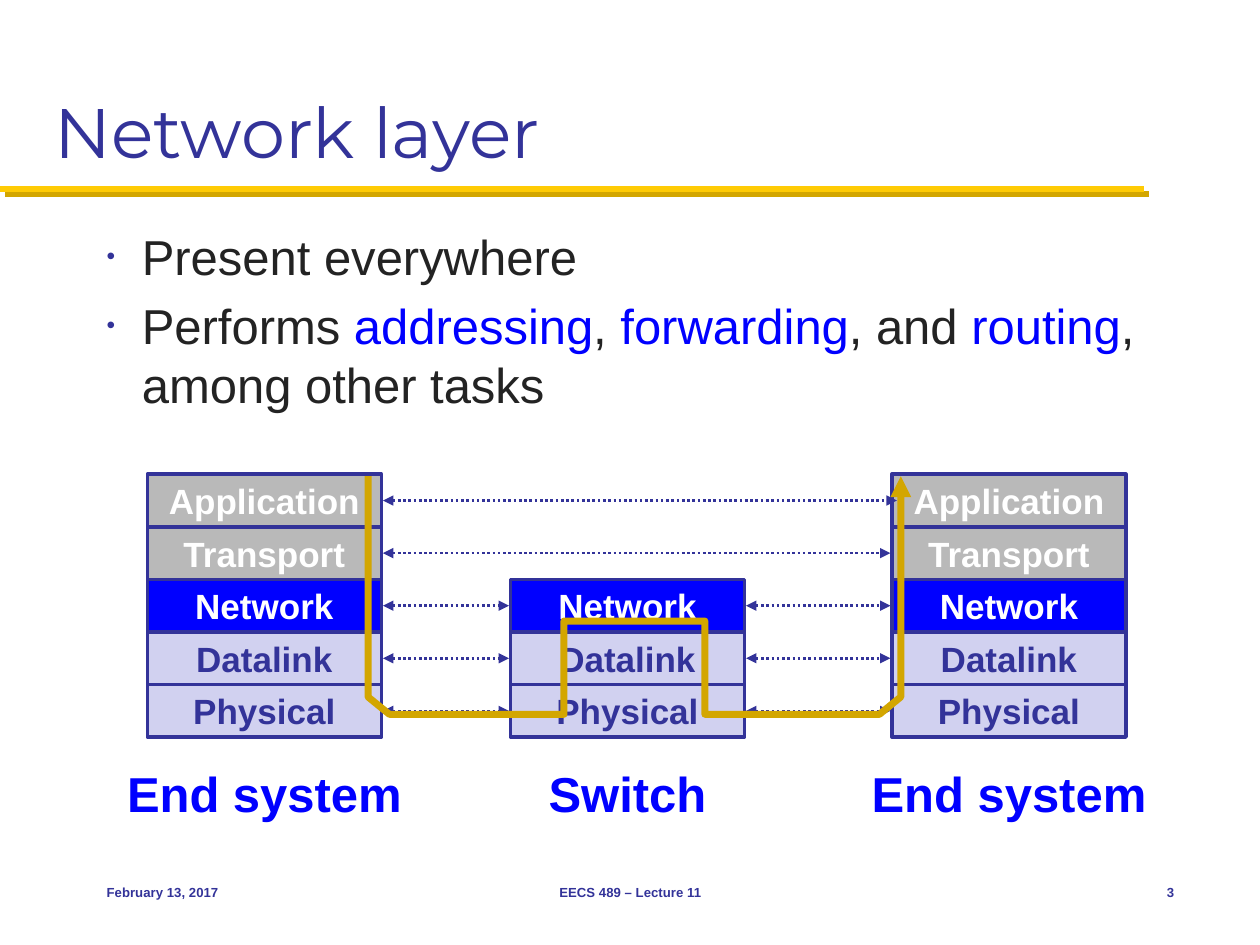
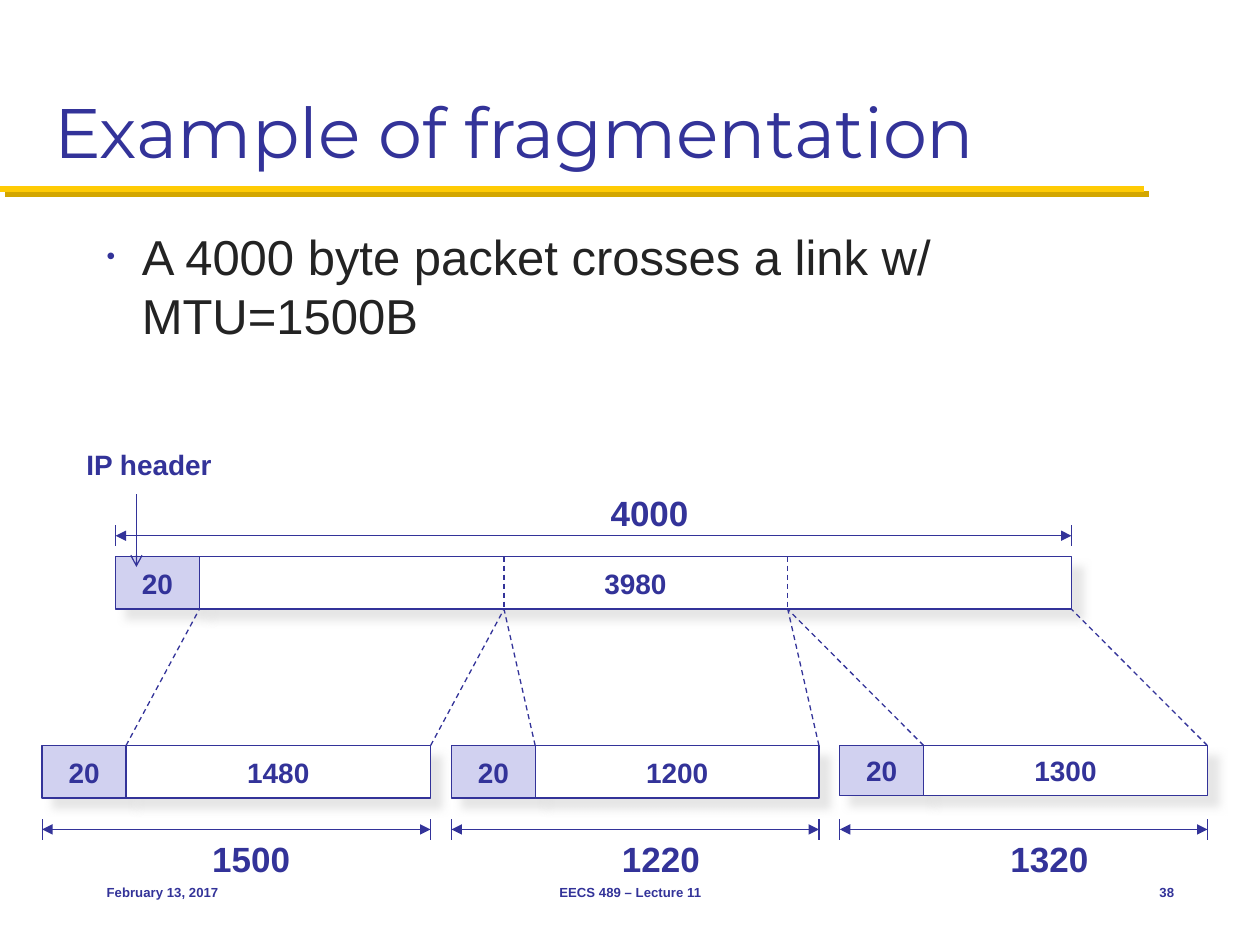
from dataclasses import dataclass
from itertools import accumulate
from typing import NamedTuple

from lxml.etree import SubElement
from pptx import Presentation
from pptx.dml.color import RGBColor
from pptx.enum.dml import MSO_LINE_DASH_STYLE as Dash
from pptx.enum.shapes import MSO_CONNECTOR_TYPE as Link, MSO_SHAPE as Preset
from pptx.enum.text import MSO_ANCHOR as Anchor, MSO_AUTO_SIZE as Fit, PP_ALIGN as Align
from pptx.oxml.ns import qn
from pptx.util import Cm, Pt


@dataclass(frozen=True)
class Theme:
    """Colours, fonts and type sizes of the deck."""
    navy: str = "333399"
    blue: str = "0000FF"
    ink: str = "232323"
    white: str = "FFFFFF"
    grey: str = "B9B9B9"
    lilac: str = "D1D1F0"
    gold: str = "FFCB05"
    dark_gold: str = "D3A600"
    shade: str = "CECECE"
    heading_font: str = "Montserrat"
    text_font: str = "Arial"
    title: float = 40
    body: float = 28
    label: float = 20
    small: float = 16
    footer: float = 7.5


class Box(NamedTuple):
    """A rectangle in centimetres."""
    left: float
    top: float
    width: float
    height: float

    def emu(self):
        """Return the four lengths in slide units."""
        return [Cm(value) for value in self]


THEME = Theme()
TITLE = Box(0.84, 0.43, 23.71, 3.17)
BODY = Box(1.9, 4.45, 22.02, 12.27)
FOOTER = Box(1.9, 17.35, 22.02, 1.27)
STACKS = Box(2.97, 9.56, 19.73, 5.3)
PACKET = Box(2.33, 11.22, 19.27, 1.06)
LAYERS = [
    ("Application", THEME.grey, THEME.white),
    ("Transport", THEME.grey, THEME.white),
    ("Network", THEME.blue, THEME.white),
    ("Datalink", THEME.lilac, THEME.navy),
    ("Physical", THEME.lilac, THEME.navy),
]
HEADER_WIDTH = 1.69


def style(target, size, color=THEME.navy, bold=False, name=THEME.text_font):
    """Set the font of a paragraph."""
    font = target.font
    font.name, font.size, font.bold = name, Pt(size), bold
    font.color.rgb = RGBColor.from_string(color)


def add_shadow(effects, color, opacity, blur, distance):
    """Add an outer shadow falling to the lower right."""
    shadow = SubElement(effects, qn("a:outerShdw"), blurRad=str(Pt(blur)),
                        dist=str(Pt(distance)), dir="2700000", algn="ctr", rotWithShape="0")
    tint = SubElement(shadow, qn("a:srgbClr"), val=color)
    SubElement(tint, qn("a:alpha"), val=str(opacity * 1000))


def draw_outline(shape, color, width, dash=None, head=None, tail=None):
    """Format a line with its dash and arrowheads."""
    shape.line.color.rgb = RGBColor.from_string(color)
    shape.line.width = Pt(width)
    if dash:
        shape.line.dash_style = dash
    outline = shape.element.spPr.find(qn("a:ln"))
    for tag, kind in (("a:headEnd", head), ("a:tailEnd", tail)):
        if kind:
            SubElement(outline, qn(tag), type=kind, w="med", len="med")


def add_line(canvas, start, end, width=0.75, color=THEME.navy, **ends):
    """Draw a straight line and return its empty effect list."""
    line = canvas.add_connector(Link.STRAIGHT, *[Cm(value) for value in (*start, *end)])
    draw_outline(line, color, width, **ends)
    return SubElement(line.element.spPr, qn("a:effectLst"))


def add_label(canvas, box, text, size, color=THEME.navy, align=Align.CENTER, anchor=Anchor.TOP):
    """Add one bold line of text."""
    frame = canvas.add_textbox(*box.emu()).text_frame
    frame.word_wrap, frame.vertical_anchor = True, anchor
    para = frame.paragraphs[0]
    para.text, para.alignment = text, align
    style(para, size, color, bold=True)


def add_cell(canvas, box, text, fill, color, size, border, shaded=False):
    """Add a bordered rectangle with centred text."""
    cell = canvas.add_shape(Preset.RECTANGLE, *box.emu())
    cell.shadow.inherit = False
    cell.fill.solid()
    cell.fill.fore_color.rgb = RGBColor.from_string(fill)
    draw_outline(cell, THEME.navy, border)
    if shaded:
        add_shadow(cell.element.spPr.find(qn("a:effectLst")), THEME.shade, 50, 5, 8.5)
    frame = cell.text_frame
    frame.word_wrap, frame.vertical_anchor = False, Anchor.MIDDLE
    para = frame.paragraphs[0]
    para.text, para.alignment = text, Align.CENTER
    style(para, size, color, bold=True)


def add_bullets(page, box, bullets):
    """Write bullets whose odd-numbered pieces are highlighted."""
    frame = page.shapes.add_textbox(*box.emu()).text_frame
    frame.word_wrap = True
    for index, pieces in enumerate(bullets):
        para = frame.add_paragraph() if index else frame.paragraphs[0]
        para.space_before = Pt(THEME.body * 0.2)
        props = para._p.get_or_add_pPr()
        props.set("marL", str(Cm(0.71)))
        props.set("indent", str(-Cm(0.71)))
        SubElement(SubElement(props, qn("a:buClr")), qn("a:srgbClr"), val=THEME.navy)
        SubElement(props, qn("a:buSzPct"), val="50000")
        SubElement(props, qn("a:buFont"), typeface=THEME.text_font)
        SubElement(props, qn("a:buChar"), char="•")
        style(para, THEME.body, THEME.ink)
        for place, piece in enumerate(pieces):
            span = para.add_run()
            span.text = piece
            if place % 2:
                span.font.color.rgb = RGBColor.from_string(THEME.blue)


def add_footer(page, box, number):
    """Write the date, the lecture and the page number."""
    parts = [
        (0, 5.29, "February 13, 2017", Align.LEFT),
        (6.78, 8.05, "EECS 489 – Lecture 11", Align.CENTER),
        (20.33, 1.69, str(number), Align.RIGHT),
    ]
    for offset, width, text, align in parts:
        place = Box(box.left + offset, box.top, width, box.height)
        add_label(page.shapes, place, text, THEME.footer, align=align, anchor=Anchor.MIDDLE)


def add_page(deck, title, bullets, number):
    """Start a slide with its title, gold rule, bullets and footer."""
    page = deck.slides.add_slide(deck.slide_layouts[5])
    heading = page.shapes.title
    heading.left, heading.top, heading.width, heading.height = TITLE.emu()
    frame = heading.text_frame
    frame.auto_size, frame.vertical_anchor = Fit.NONE, Anchor.BOTTOM
    para = frame.paragraphs[0]
    para.text, para.alignment = title, Align.LEFT
    style(para, THEME.title, name=THEME.heading_font)
    rule = add_line(page.shapes, (0, 3.81), (23.06, 3.81), 3.5, THEME.gold)
    add_shadow(rule, THEME.dark_gold, 100, 0, 4.2)
    add_bullets(page, BODY, bullets)
    add_footer(page, FOOTER, number)
    return page


def add_stack(page, box, layers, row, caption):
    """Draw the layers of one machine, aligned at the bottom, and its name."""
    top = box.top + box.height - row * len(layers)
    for index, (name, fill, color) in enumerate(layers):
        cell = Box(box.left, top + index * row, box.width, row)
        add_cell(page.shapes, cell, name, fill, color, THEME.label, 2)
    name_box = Box(box.left - 0.8, box.top + box.height + 0.41, box.width + 1.6, 1.45)
    add_label(page.shapes, name_box, caption, THEME.body, THEME.blue)


def add_route(page, box):
    """Trace the way of the data through the three machines."""
    half = [(5.37, 0.04), (5.37, 4.49), (4.94, 4.84), (1.42, 4.84), (1.42, 2.96)]
    middle = box.left + 9.82
    points = [(middle - x, box.top + y) for x, y in half]
    points += [(middle + x, box.top + y) for x, y in reversed(half)]
    points = [(Cm(x), Cm(y)) for x, y in points]
    outline = page.shapes.build_freeform(*points[0])
    outline.add_line_segments(points[1:], close=False)
    route = outline.convert_to_shape()
    route.shadow.inherit = False
    route.fill.background()
    draw_outline(route, THEME.dark_gold, 4, tail="triangle")


def add_stacks(page, box):
    """Draw two end systems, the switch between them and their links."""
    row, width, gap = box.height / len(LAYERS), 4.72, 0.03
    left, middle, right = box.left, box.left + 7.32, box.left + box.width - width
    machines = [(left, LAYERS, "End system"), (middle, LAYERS[2:], "Switch"),
                (right, LAYERS, "End system")]
    for start, layers, caption in machines:
        add_stack(page, Box(start, box.top, width, box.height), layers, row, caption)
    for index in range(len(LAYERS)):
        y = box.top + (index + 0.5) * row
        stops = [left, right] if index < 2 else [left, middle, right]
        for start, end in zip(stops, stops[1:]):
            reach = end + 0.1 if index == 0 else end - gap
            add_line(page.shapes, (start + width + gap, y), (reach, y), 1.5,
                     dash=Dash.ROUND_DOT, head="triangle", tail="triangle")
    add_route(page, box)


def add_packet(canvas, box, payload, total, measure, label, shift):
    """Draw a packet, its measuring line and its length at the given offsets."""
    header = Box(box.left, box.top, HEADER_WIDTH, box.height)
    data = Box(box.left + HEADER_WIDTH, box.top, box.width - HEADER_WIDTH, box.height)
    for part, text, fill in ((header, "20", THEME.lilac), (data, payload, THEME.white)):
        add_cell(canvas, part, text, fill, THEME.navy, THEME.small, 0.75, shaded=True)
    right, y = box.left + box.width, box.top + measure
    for x in (box.left, right):
        add_line(canvas, (x, y - 0.21), (x, y + 0.21))
    add_line(canvas, (box.left, y), (right, y), head="triangle", tail="triangle")
    center = box.left + box.width / 2 + shift
    add_label(canvas, Box(center - 1.06, box.top + label, 2.12, 1.12), total, THEME.label)


def add_fragments(page, box):
    """Draw the packet, the three fragments it is cut into and the cuts."""
    add_packet(page.shapes, box, "3980", "4000", -0.42, -1.44, 1.13)
    fragments = [
        (0.85, 6.14, 1.06, "1480", "1500", 0.3),
        (9.1, 5.72, 1.06, "1200", "1220", 0.52),
        (16.93, 5.72, 1.01, "1300", "1320", 0.52),
    ]
    widths = [width for _, width, *_ in fragments]
    cuts = list(accumulate(widths, initial=box.left + HEADER_WIDTH))
    bottom, top = box.top + box.height, box.top + 3.81
    for index, (left, width, height, payload, total, shift) in enumerate(fragments):
        group = page.shapes.add_group_shape().shapes
        place = Box(left, top, HEADER_WIDTH + width, height)
        add_packet(group, place, payload, total, 1.69, 1.73, shift)
        start = left + HEADER_WIDTH
        for corner, cut in zip((start, start + width), cuts[index:]):
            add_line(group, (corner, top), (cut, bottom), dash=Dash.DASH)
    for cut in cuts[1:-1]:
        add_line(page.shapes, (cut, box.top), (cut, bottom), dash=Dash.DASH)
    note = Box(box.left - 0.86, box.top - 2.33, 3.07, 0.94)
    add_label(page.shapes, note, "IP header", THEME.small)
    x = box.left + 0.42
    add_line(page.shapes, (x, box.top - 1.26), (x, box.top + 0.21), tail="arrow")


def build_deck():
    """Build and save both slides."""
    deck = Presentation()
    deck.slide_width, deck.slide_height = Cm(25.4), Cm(19.05)
    tasks = ["Performs ", "addressing", ", ", "forwarding", ", and ", "routing",
             ", among other tasks"]
    page = add_page(deck, "Network layer", [["Present everywhere"], tasks], 3)
    add_stacks(page, STACKS)
    page = add_page(deck, "Example of fragmentation",
                    [["A 4000 byte packet crosses a link w/ MTU=1500B"]], 38)
    add_fragments(page, PACKET)
    deck.save("out.pptx")


build_deck()
